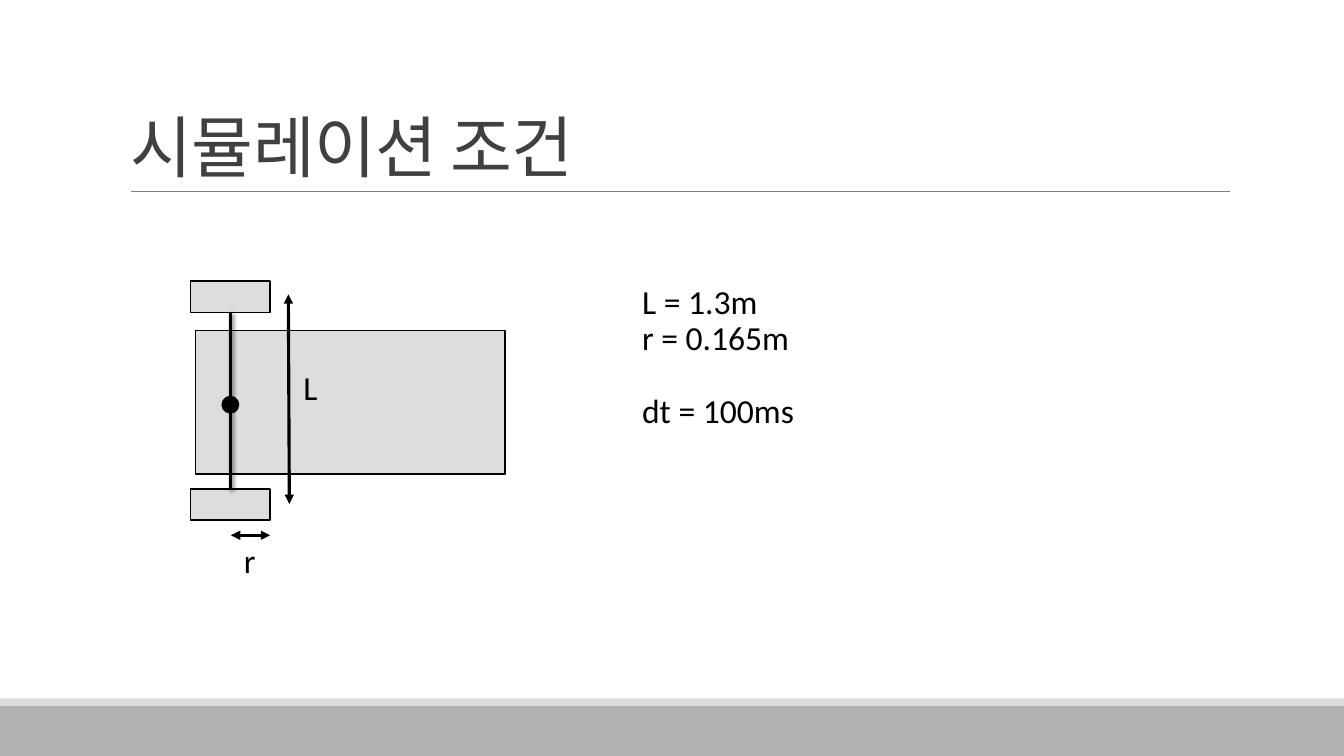
"""Build the simulation conditions slide with its vehicle axle diagram."""
from lxml import etree
from pptx import Presentation
from pptx.dml.color import RGBColor
from pptx.enum import shapes, text
from pptx.oxml import ns
from pptx.util import Inches, Pt

BLACK = RGBColor(0x00, 0x00, 0x00)
TITLE_GREY = RGBColor(0x40, 0x40, 0x40)
RULE_GREY = RGBColor(0x80, 0x80, 0x80)
BAND_GREY = RGBColor(0xB2, 0xB2, 0xB2)
LIGHT_GREY = RGBColor(0xDD, 0xDD, 0xDD)

FONT = "Calibri"
SLIDE_SIZE = (13.33, 7.5)
TITLE = "시뮬레이션 조건"
TITLE_BOX = (1.2, 0.31, 11, 1.59)
TITLE_RULE = ((1.3, 1.9), (12.2, 1.9))
BANDS = [((0, 7, 13.33, 0.5), BAND_GREY), ((0, 6.93, 13.33, 0.07), LIGHT_GREY)]
BODY = (1.94, 3.28, 3.07, 1.42)
WHEEL_LEFT, WHEEL_SIZE, WHEEL_TOPS = 1.89, (0.79, 0.31), (2.79, 4.85)
HUB_SIZE = 0.16
DIMENSIONS = [((2.86, 2.92), (2.87, 5)), ((2.68, 5.31), (2.29, 5.31))]
LINE_GAP = 26.4
LABELS = [
    ((2.91, 3.64, 0.31, 0.46), [("L", 0)]),
    ((2.32, 5.35, 0.31, 0.46), [("r", 0)]),
    ((6.27, 2.78, 4.33, 1.56),
     [("L = 1.3m", 0), ("r = 0.165m", 0), ("dt = 100ms", LINE_GAP)]),
]


def add_block(page, kind, area, fill, outlined=True):
    block = page.shapes.add_shape(kind, *map(Inches, area))
    block.shadow.inherit = False
    block.fill.solid()
    block.fill.fore_color.rgb = fill
    if outlined:
        block.line.color.rgb = BLACK
        block.line.width = Pt(1.25)
    else:
        block.line.fill.background()
    return block


def add_line(page, start, end, color, width, arrows=False):
    line = page.shapes.add_connector(
        shapes.MSO_CONNECTOR.STRAIGHT, *map(Inches, start + end))
    line.line.color.rgb = color
    line.line.width = Pt(width)
    if arrows:
        outline = line.line._get_or_add_ln()
        for side in ("a:headEnd", "a:tailEnd"):
            etree.SubElement(outline, ns.qn(side), type="triangle")
    effects = etree.SubElement(line._element.spPr, ns.qn("a:effectLst"))
    return line, effects


def add_text(page, area, lines, size, color, spacing, anchor):
    box = page.shapes.add_textbox(*map(Inches, area))
    frame = box.text_frame
    frame.word_wrap = True
    frame.vertical_anchor = anchor
    for index, (words, gap) in enumerate(lines):
        para = frame.add_paragraph() if index else frame.paragraphs[0]
        para.line_spacing = spacing
        para.space_before = Pt(gap)
        span = para.add_run()
        span.text = words
        span.font.name = FONT
        span.font.size = Pt(size)
        span.font.color.rgb = color
    return box


def add_axle(page, wheels, center):
    top, bottom = wheels
    axle, effects = add_line(page, (center, 3.1), (center, 4.85), BLACK, 2)
    axle.begin_connect(top, 2)
    axle.end_connect(bottom, 0)
    shadow = etree.SubElement(
        effects, ns.qn("a:outerShdw"), blurRad=str(Pt(3)), dist=str(Pt(2)),
        dir=str(45 * 60000), algn="tl", rotWithShape="0")
    tint = etree.SubElement(shadow, ns.qn("a:srgbClr"), val=str(BLACK))
    etree.SubElement(tint, ns.qn("a:alpha"), val="60000")


def add_vehicle(page):
    rectangle = shapes.MSO_SHAPE.RECTANGLE
    add_block(page, rectangle, BODY, LIGHT_GREY)
    wheels = [add_block(page, rectangle, (WHEEL_LEFT, top, *WHEEL_SIZE), LIGHT_GREY)
              for top in WHEEL_TOPS]
    center = WHEEL_LEFT + WHEEL_SIZE[0] / 2
    middle = (sum(WHEEL_TOPS) + WHEEL_SIZE[1]) / 2 + 0.04
    add_axle(page, wheels, center)
    hub = (center - HUB_SIZE / 2, middle - HUB_SIZE / 2, HUB_SIZE, HUB_SIZE)
    add_block(page, shapes.MSO_SHAPE.OVAL, hub, BLACK)
    for start, end in DIMENSIONS:
        add_line(page, start, end, BLACK, 2.25, arrows=True)


def main():
    deck = Presentation()
    deck.slide_width, deck.slide_height = map(Inches, SLIDE_SIZE)
    page = deck.slides.add_slide(deck.slide_layouts[6])
    for area, fill in BANDS:
        add_block(page, shapes.MSO_SHAPE.RECTANGLE, area, fill, outlined=False)
    add_line(page, *TITLE_RULE, RULE_GREY, 0.5)
    title = add_text(page, TITLE_BOX, [(TITLE, 0)], 48, TITLE_GREY, 0.85,
                     text.MSO_ANCHOR.BOTTOM)
    title.text_frame.paragraphs[0].runs[0].font._element.set("spc", "-50")
    add_vehicle(page)
    for area, lines in LABELS:
        add_text(page, area, lines, 24, BLACK, 0.9, text.MSO_ANCHOR.TOP)
    deck.save("out.pptx")


if __name__ == "__main__":
    main()
